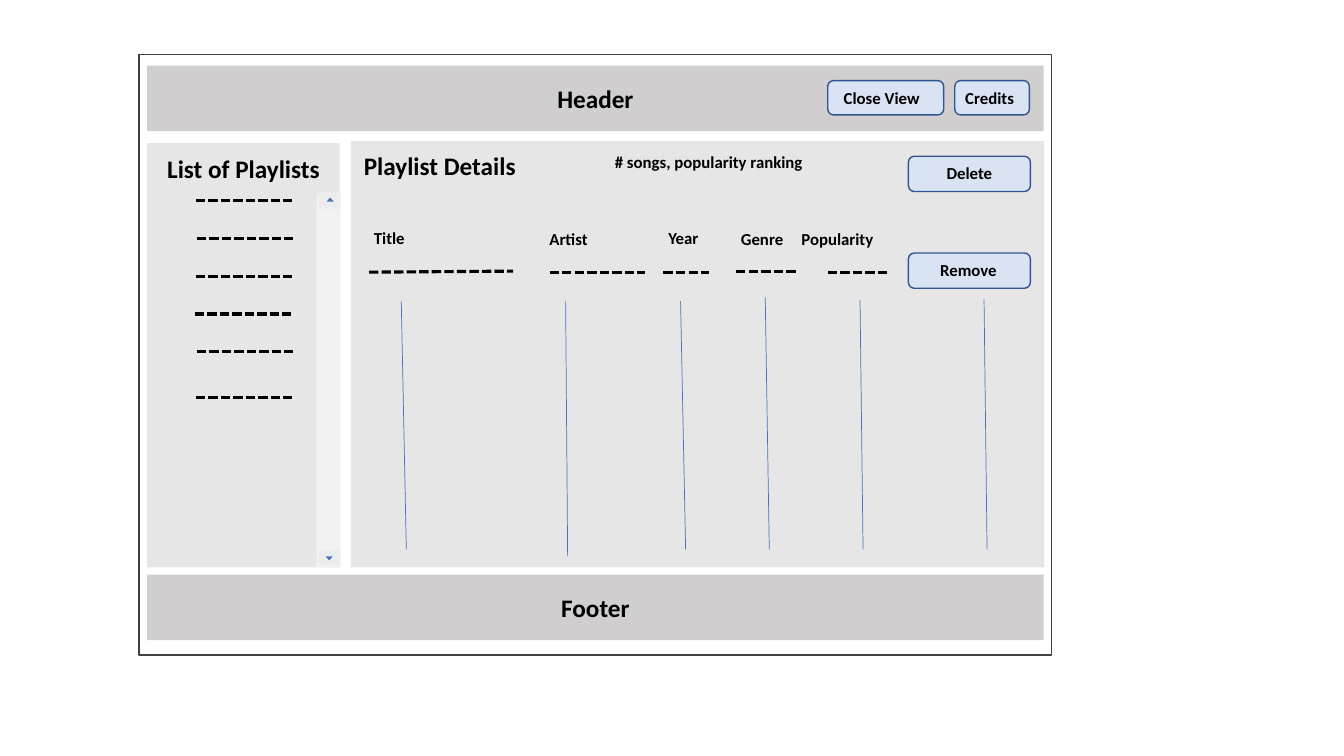
from pptx import Presentation
from pptx.dml.color import RGBColor
from pptx.enum import dml, shapes, text
from pptx.oxml.ns import qn
from pptx.util import Inches, Pt

BLACK = RGBColor(0, 0, 0)
FRAME = RGBColor(0x40, 0x40, 0x40)
BAND = RGBColor(0xD0, 0xCE, 0xCE)
PANEL = RGBColor(0xE7, 0xE6, 0xE6)
TRACK = RGBColor(0xF2, 0xF2, 0xF2)
ENDS = RGBColor(0xED, 0xED, 0xED)
BLUE = RGBColor(0x44, 0x72, 0xC4)
EDGE = RGBColor(0x32, 0x54, 0x91)
PALE = RGBColor(0xDA, 0xE3, 0xF3)

LEFT, WIDE = 1.46, 8.89  # shared by the header and footer
BANDS = [("Header", 0.65), ("Footer", 5.7)]
PANELS = [(3.48, 1.4, 6.88, 4.23), (LEFT, 1.42, 1.91, 4.21)]
TITLES = [("Playlist Details", 3.51, 1.44, 1.72), ("List of Playlists", 1.56, 1.47, 1.73)]
# text, left, top, width, height, label left, label width
BUTTONS = [
    ("Remove", 9.01, 2.51, 1.21, 0.35, 8.99, 1.23),
    ("Delete", 9.01, 1.55, 1.21, 0.35, 9.01, 1.21),
    ("Credits", 9.47, 0.8, 0.74, 0.34, 9.47, 0.69),
    ("Close View", 8.21, 0.8, 1.15, 0.34, 8.21, 1.07),
]
LABELS = [
    ("Title", 3.61, 2.21, 1.05),
    ("Artist", 5.35, 2.22, 1.05),
    ("Year", 6.53, 2.21, 0.66),
    ("Genre", 7.25, 2.22, 0.66),
    ("Popularity", 7.85, 2.22, 0.96),
    ("# songs, popularity ranking", 6, 1.46, 2.2),
]
# x1, y1, x2, y2
FIELDS = [
    (3.66, 2.7, 5.09, 2.69),
    (5.45, 2.7, 6.4, 2.7),
    (6.58, 2.7, 7.03, 2.7),
    (7.3, 2.69, 7.91, 2.69),
    (8.21, 2.7, 8.81, 2.7),
]
COLUMNS = [
    (3.98, 2.99, 4.03, 5.45),
    (5.61, 2.99, 5.63, 5.52),
    (6.75, 2.99, 6.8, 5.45),
    (7.59, 2.95, 7.63, 5.45),
    (8.53, 2.98, 8.56, 5.45),
    (9.76, 2.97, 9.79, 5.45),
]
ITEMS = [(1.94, 1.99), (1.95, 2.365), (1.94, 2.74), (1.93, 3.115), (1.95, 3.485), (1.94, 3.94)]
ITEM = 0.96
# end top, arrow left, arrow top, turn
ARROWS = [(5.45, 3.23, 5.52, 180), (1.91, 3.24, 1.96, 0)]

deck = Presentation()
deck.slide_width, deck.slide_height = Inches(13.33), Inches(7.5)
slide = deck.slides.add_slide(deck.slide_layouts[6])


def box(at, fill=None, line=None, kind="RECTANGLE"):
    shape = slide.shapes.add_shape(shapes.MSO_SHAPE[kind], *map(Inches, at))
    shape.shadow.inherit = False
    for part, color in ((shape.fill, fill), (shape.line.fill, line)):
        if color is None:
            part.background()
        else:
            part.solid()
            part.fore_color.rgb = color
    if line is not None:
        shape.line.width = Pt(1)
    return shape


def write(shape, words, size=12, center=False, wrap=True, middle=False):
    frame = shape.text_frame
    frame.word_wrap = wrap
    frame.vertical_anchor = text.MSO_ANCHOR.MIDDLE if middle else text.MSO_ANCHOR.TOP
    para = frame.paragraphs[0]
    para.alignment = text.PP_ALIGN.CENTER if center else text.PP_ALIGN.LEFT
    run = para.add_run()
    run.text = words
    font = run.font
    font.name, font.size, font.bold = "Calibri", Pt(size), True
    font.color.rgb = BLACK


def label(words, x, y, w, h=0.3, **style):
    write(slide.shapes.add_textbox(*map(Inches, (x, y, w, h))), words, **style)


def rule(ends, color, width, dash=None):
    line = slide.shapes.add_connector(shapes.MSO_CONNECTOR.STRAIGHT, *map(Inches, ends))
    line.line.color.rgb = color
    line.line.width = Pt(width)
    if dash:
        line.line.dash_style = dash
    props = line._element.spPr
    props.append(props.makeelement(qn("a:effectLst"), {}))


box((1.38, 0.54, 9.05, 5.96), line=FRAME)
for words, y in BANDS:
    write(box((LEFT, y, WIDE, 0.65), BAND), words, size=18, center=True, middle=True)
for at in PANELS:
    box(at, PANEL)
for words, x, y, w in TITLES:
    label(words, x, y, w, 0.4, size=18, wrap=False)
for row in LABELS:
    label(*row)

for ends in COLUMNS:
    rule(ends, BLUE, 0.5)
for ends in FIELDS + [(x, y, x + ITEM, y) for x, y in ITEMS]:
    rule(ends, BLACK, 2.25, dml.MSO_LINE.SQUARE_DOT)

box((3.14, 1.93, 0.22, 3.7), TRACK)
for y, x, tip, turn in ARROWS:
    box((3.16, y, 0.22, 0.16), ENDS)
    box((x, tip, 0.07, 0.04), BLUE, kind="ISOSCELES_TRIANGLE").rotation = turn

for words, x, y, w, h, start, span in BUTTONS:
    box((x, y, w, h), PALE, EDGE, "ROUNDED_RECTANGLE")
    label(words, start, y + 0.02, span, center=True)

deck.save("out.pptx")
